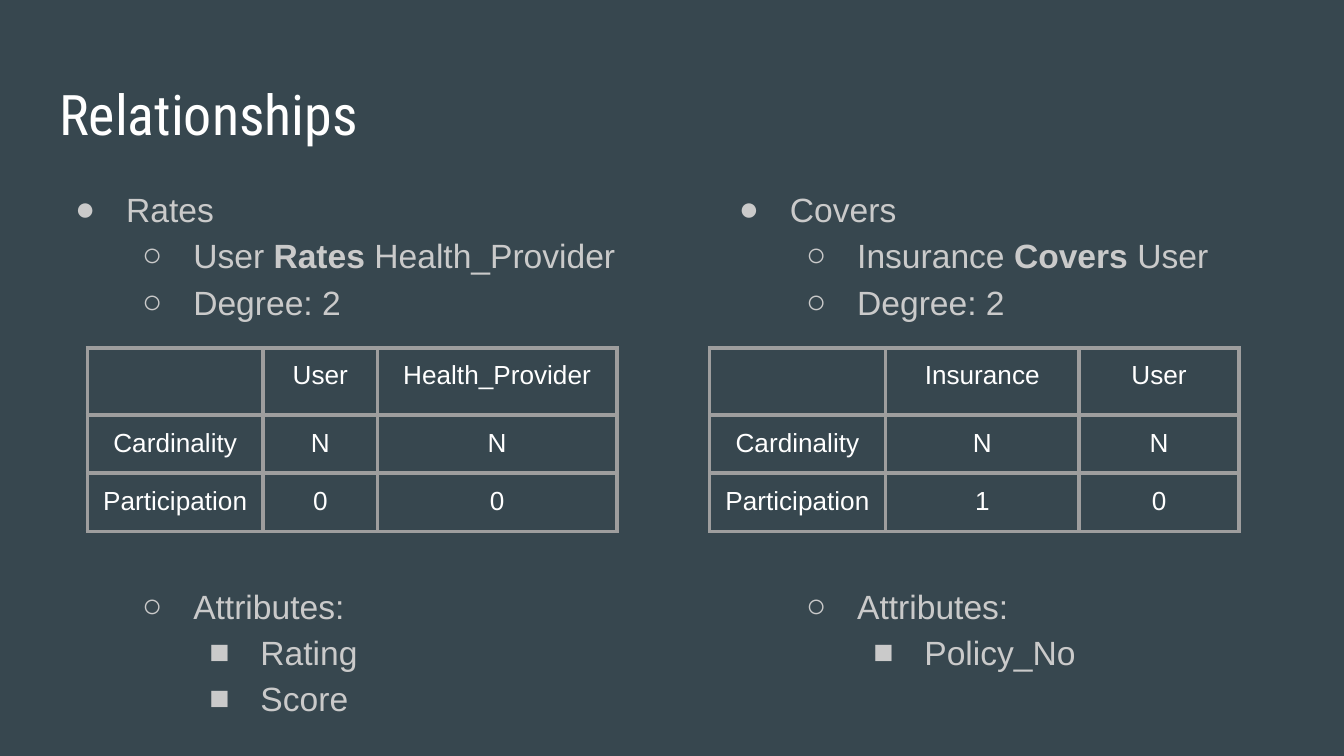
from lxml import etree
from pptx import Presentation
from pptx import util as u
from pptx.dml import color
from pptx.enum import text
from pptx.oxml import ns

WIDTH, HEIGHT = u.Inches(10), u.Inches(5.625)
SLATE, WHITE, SILVER, GRAY = "37474F", "FFFFFF", "CACACA", "9E9E9E"
BULLETS = "●○■"
TABLE_GAP = 138


def rgb(value):
    """Return a colour from a hex string."""
    return color.RGBColor.from_string(value)


def scale(box):
    """Turn shares of the slide into left, top, width and height."""
    return [int(share * size) for share, size in zip(box, (WIDTH, HEIGHT) * 2)]


def child(parent, tag, **attributes):
    """Append a DrawingML element."""
    return etree.SubElement(parent, ns.qn("a:" + tag), attributes)


def format_run(run, size, value, font="Arial", bold=False):
    """Set the font of a run."""
    run.font.name, run.font.size, run.font.bold = font, u.Pt(size), bold
    run.font.color.rgb = rgb(value)


def set_margins(frame):
    """Give a text frame or cell equal margins."""
    frame.margin_left = frame.margin_right = u.Inches(0.1)
    frame.margin_top = frame.margin_bottom = u.Inches(0.1)


def add_title(slide, box, wording):
    """Place and format the title placeholder."""
    title = slide.shapes.title
    title.left, title.top, title.width, title.height = scale(box)
    frame = title.text_frame
    frame.text = wording
    frame.vertical_anchor = text.MSO_ANCHOR.TOP
    frame.auto_size = text.MSO_AUTO_SIZE.NONE
    set_margins(frame)
    frame.paragraphs[0].alignment = text.PP_ALIGN.LEFT
    format_run(frame.paragraphs[0].runs[0], 30, WHITE, "Roboto Condensed")


def add_bullet(paragraph, level):
    """Indent a paragraph and give it the bullet of its level."""
    paragraph.level = level
    properties = paragraph._p.get_or_add_pPr()
    properties.set("marL", str(u.Inches(0.5 * (level + 1))))
    properties.set("indent", str(u.Inches(-0.38)))
    child(child(properties, "buClr"), "srgbClr", val=SILVER)
    child(properties, "buFont", typeface="Arial")
    child(properties, "buChar", char=BULLETS[level])


def add_outline(slide, box, entries):
    """Write a bulleted outline, with room for a table above the attributes."""
    frame = slide.shapes.add_textbox(*scale(box)).text_frame
    frame.word_wrap = True
    set_margins(frame)
    for index, (level, pieces) in enumerate(entries):
        paragraph = frame.add_paragraph() if index else frame.paragraphs[0]
        paragraph.line_spacing = 1.15
        paragraph.space_before = u.Pt(TABLE_GAP if pieces[0] == "Attributes:" else 0)
        add_bullet(paragraph, level)
        for position, piece in enumerate(pieces):
            run = paragraph.add_run()
            run.text = piece
            format_run(run, 18, SILVER, bold=position == 1)


def add_borders(cell):
    """Draw the four borders of a cell."""
    properties = cell._tc.get_or_add_tcPr()
    for position, side in enumerate(("lnL", "lnR", "lnT", "lnB")):
        line = etree.Element(ns.qn("a:" + side), w=str(u.Pt(2.25)))
        child(child(line, "solidFill"), "srgbClr", val=GRAY)
        properties.insert(position, line)


def add_relation_table(slide, box, columns, rows):
    """Add a bordered table whose columns are shares of its box."""
    left, top, width, height = scale(box)
    table = slide.shapes.add_table(
        len(rows), len(columns), left, top, width, height).table
    table.first_row = table.horz_banding = False
    for column, share in zip(table.columns, columns):
        column.width = int(share * width)
    for row, share in zip(table.rows, (0.36, 0.32, 0.32)):
        row.height = int(share * height)
    for cell, wording in zip(table.iter_cells(), sum(rows, ())):
        cell.text = wording
        cell.fill.background()
        set_margins(cell)
        add_borders(cell)
        paragraph = cell.text_frame.paragraphs[0]
        paragraph.alignment = text.PP_ALIGN.CENTER
        for run in paragraph.runs:
            format_run(run, 14, WHITE)


def add_relationship(slide, outline_left, table_left, entries, columns, rows):
    """Add one relationship: its outline and its table."""
    add_outline(slide, (outline_left, 0.224, 0.437, 0.665), entries)
    add_relation_table(slide, (table_left, 0.46, 0.394, 0.235), columns, rows)


def main():
    """Build the slide and save it."""
    presentation = Presentation()
    presentation.slide_width, presentation.slide_height = WIDTH, HEIGHT
    slide = presentation.slides.add_slide(presentation.slide_layouts[5])
    slide.background.fill.solid()
    slide.background.fill.fore_color.rgb = rgb(SLATE)
    add_title(slide, (0.034, 0.087, 0.932, 0.112), "Relationships")
    add_relationship(
        slide, 0.034, 0.065,
        [(0, ["Rates"]), (1, ["User ", "Rates", " Health_Provider"]),
         (1, ["Degree: 2"]), (1, ["Attributes:"]), (2, ["Rating"]), (2, ["Score"])],
        (0.332, 0.216, 0.452),
        [("", "User", "Health_Provider"), ("Cardinality", "N", "N"),
         ("Participation", "0", "0")])
    add_relationship(
        slide, 0.528, 0.528,
        [(0, ["Covers"]), (1, ["Insurance ", "Covers ", "User"]),
         (1, ["Degree: 2"]), (1, ["Attributes:"]), (2, ["Policy_No"])],
        (0.332, 0.366, 0.302),
        [("", "Insurance", "User"), ("Cardinality", "N", "N"),
         ("Participation", "1", "0")])
    presentation.save("out.pptx")


if __name__ == "__main__":
    main()
